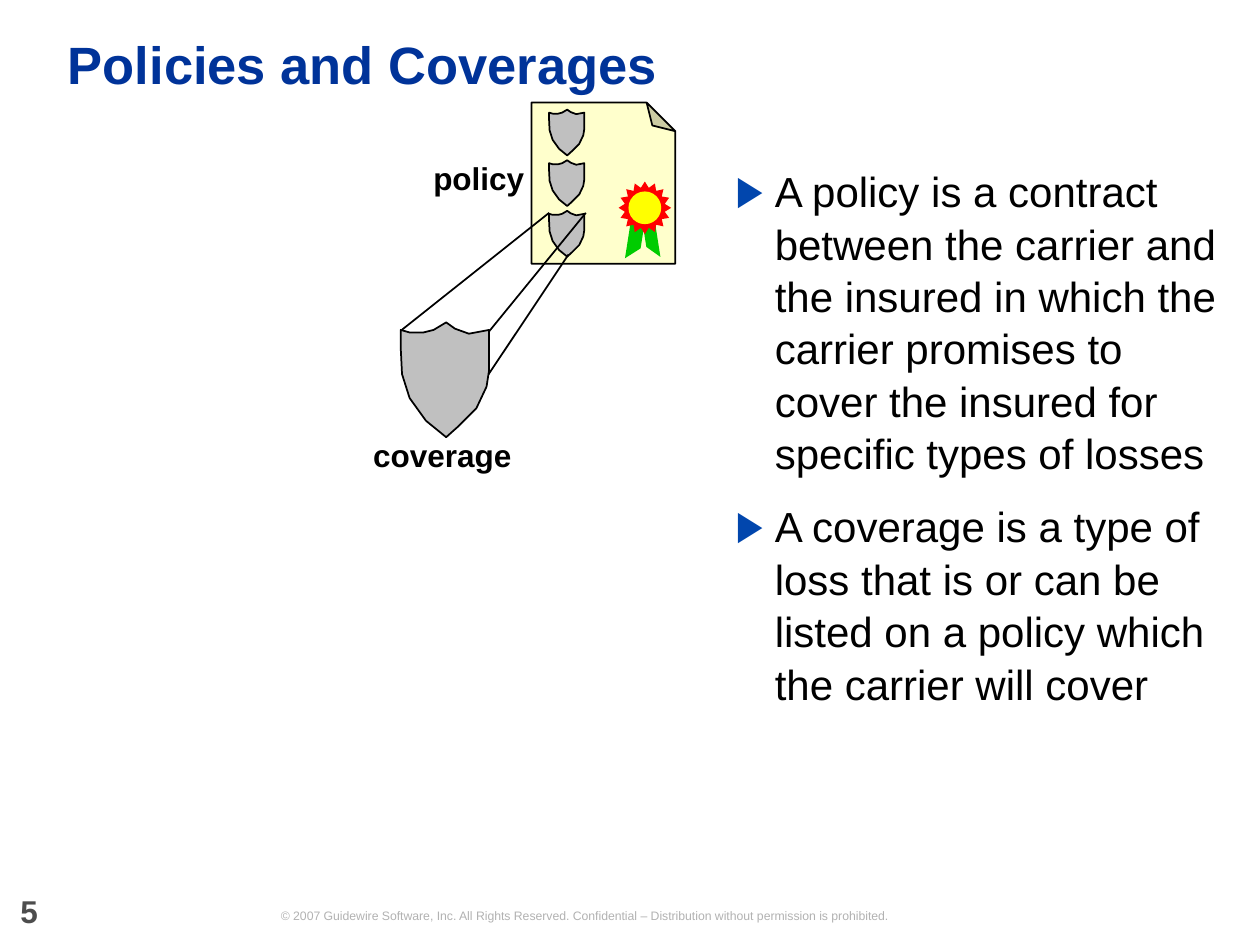
from math import cos, pi, sin

from lxml.etree import SubElement
from pptx import Presentation
from pptx.dml.color import RGBColor
from pptx.enum.shapes import MSO_CONNECTOR as Connector, MSO_SHAPE as Preset
from pptx.enum.text import MSO_ANCHOR as Anchor, MSO_AUTO_SIZE as Fit, PP_ALIGN as Align
from pptx.oxml.ns import qn
from pptx.util import Cm, Pt

SHIELD_WIDTH = 70
SHIELD = [
    (36, 91), (20, 78), (7, 60), (1, 41), (0, 21), (0, 6), (7, 8), (18, 8), (26, 6),
    (36, 0), (43, 5), (54, 9), (70, 6), (70, 38), (68, 51), (60, 68), (45, 83),
]
SPIKES = 16
POINTS = [
    "A policy is a contract between the carrier and the insured in which the "
    "carrier promises to cover the insured for specific types of losses",
    "A coverage is a type of loss that is or can be listed on a policy which "
    "the carrier will cover",
]
COPYRIGHT = (
    "© 2007 Guidewire Software, Inc. All Rights Reserved. Confidential – "
    "Distribution without permission is prohibited."
)


def color(value):
    return RGBColor.from_string(value)


def paint(shape, fill, outlined=False):
    shape.shadow.inherit = False
    shape.fill.solid()
    shape.fill.fore_color.rgb = color(fill)
    if outlined:
        shape.line.color.rgb = color("000000")
        shape.line.width = Pt(1)
    else:
        shape.line.fill.background()


def add_preset(page, preset, left, top, width, height, fill, outlined=False):
    shape = page.shapes.add_shape(preset, Cm(left), Cm(top), Cm(width), Cm(height))
    paint(shape, fill, outlined)
    return shape


def add_outline(page, points, left, top, scale, fill, outlined=False):
    builder = page.shapes.build_freeform(*points[0], scale=scale)
    builder.add_line_segments(points[1:])
    paint(builder.convert_to_shape(Cm(left), Cm(top)), fill, outlined)


def add_shield(page, left, top, width):
    add_outline(page, SHIELD, left, top, Cm(width) / SHIELD_WIDTH, "C0C0C0", True)


def add_paper(page, left, top, width, height, fold):
    paper = add_preset(page, Preset.FOLDED_CORNER, left, top, width, height, "FFFFCC", True)
    paper.rotation = 270
    guides = next(paper.element.spPr.iter(qn("a:avLst")))
    SubElement(guides, qn("a:gd"), name="adj", fmla=f"val {round(fold * 100000)}")


def add_ribbon(page, left, top, width, height, slant, rotation, flipped=False):
    ribbon = add_preset(page, Preset.PARALLELOGRAM, left, top, width, height, "00CC00")
    ribbon.adjustments[0] = slant
    ribbon.rotation = rotation
    if flipped:
        ribbon.element.spPr.xfrm.set("flipH", "1")


def add_rosette(page, center_x, center_y):
    burst = []
    for step in range(2 * SPIKES):
        radius = 410 if step % 2 else 530
        angle = pi * step / SPIKES
        burst.append((round(radius * cos(angle)), round(radius * sin(angle))))
    add_outline(page, burst, center_x, center_y, Cm(1) / 1000, "FF0000")
    add_preset(page, Preset.OVAL, center_x - 0.33, center_y - 0.33, 0.66, 0.66, "FFFF00")


def add_policy(page):
    add_paper(page, 10.54, 2.24, 3.25, 2.9, 0.2)
    for row in range(3):
        add_shield(page, 11.07, 2.21 + 1.02 * row, 0.71)
    add_ribbon(page, 12.32, 4.6, 0.99, 0.28, 0.88, 278.9, flipped=True)
    add_ribbon(page, 12.6, 4.57, 1.02, 0.25, 0.97, 81.1)
    add_rosette(page, 13, 4.19)


def add_line(page, start, end):
    line = page.shapes.add_connector(Connector.STRAIGHT, *map(Cm, start + end))
    line.line.color.rgb = color("000000")
    line.line.width = Pt(1)
    SubElement(line.element.spPr, qn("a:effectLst"))


def prepare_frame(box, anchor=Anchor.TOP):
    frame = box.text_frame
    frame.margin_left = frame.margin_right = frame.margin_top = frame.margin_bottom = 0
    frame.word_wrap = True
    frame.auto_size = Fit.NONE
    frame.vertical_anchor = anchor
    return frame


def style(para, size, tint, bold=False, align=Align.LEFT):
    para.alignment = align
    para.font.name = "Arial"
    para.font.size = Pt(size)
    para.font.bold = bold
    para.font.color.rgb = color(tint)


def add_box(page, left, top, width, height):
    return page.shapes.add_textbox(Cm(left), Cm(top), Cm(width), Cm(height))


def add_label(page, text, place, size, tint, bold=True, align=Align.LEFT, anchor=Anchor.TOP):
    para = prepare_frame(add_box(page, *place), anchor).paragraphs[0]
    para.text = text
    style(para, size, tint, bold, align)
    return para


def set_title(page, text):
    title = page.shapes.title
    title.left, title.top, title.width, title.height = map(Cm, (1.37, 0.33, 23.11, 2.06))
    para = prepare_frame(title, Anchor.MIDDLE).paragraphs[0]
    para.text = text
    para.line_spacing = 0.9
    style(para, 30, "003399", True)


def add_bullet(para):
    props = para._p.get_or_add_pPr()
    props.set("marL", str(Cm(0.79)))
    props.set("indent", str(-Cm(0.79)))
    SubElement(SubElement(props, qn("a:buClr")), qn("a:srgbClr"), val="0146AD")
    SubElement(props, qn("a:buFont"), typeface="Arial")
    SubElement(props, qn("a:buChar"), char="▶")


def add_bullet_list(page, texts):
    frame = prepare_frame(add_box(page, 14.83, 3.3, 9.7, 14.43))
    for index, text in enumerate(texts):
        para = frame.add_paragraph() if index else frame.paragraphs[0]
        para.text = text
        add_bullet(para)
        para.line_spacing = 1.04
        para.space_before = Pt(12 if index else 0)
        style(para, 24, "000000")


def main():
    deck = Presentation()
    deck.slide_width, deck.slide_height = Cm(25.4), Cm(19.05)
    page = deck.slides.add_slide(deck.slide_layouts[5])
    add_label(page, COPYRIGHT, (3.02, 18.31, 17.53, 0.3), 7, "B2B2B2",
              bold=False, align=Align.CENTER, anchor=Anchor.MIDDLE)
    number = add_label(page, "5", (0.41, 18.11, 1.45, 0.64), 18, "4D4D4D")
    number.line_spacing = Pt(18)
    add_policy(page)
    set_title(page, "Policies and Coverages")
    add_label(page, "policy", (7.32, 3.2, 3.25, 0.76), 18, "000000", align=Align.RIGHT)
    add_line(page, (11.07, 4.29), (8.1, 6.65))
    add_line(page, (9.02, 8.79), (11.46, 5.13))
    add_line(page, (9.86, 6.68), (11.81, 4.29))
    add_label(page, "coverage", (7.29, 8.79, 3.25, 0.76), 18, "000000", align=Align.CENTER)
    add_bullet_list(page, POINTS)
    add_shield(page, 8.08, 6.5, 1.78)
    deck.save("out.pptx")


if __name__ == "__main__":
    main()
